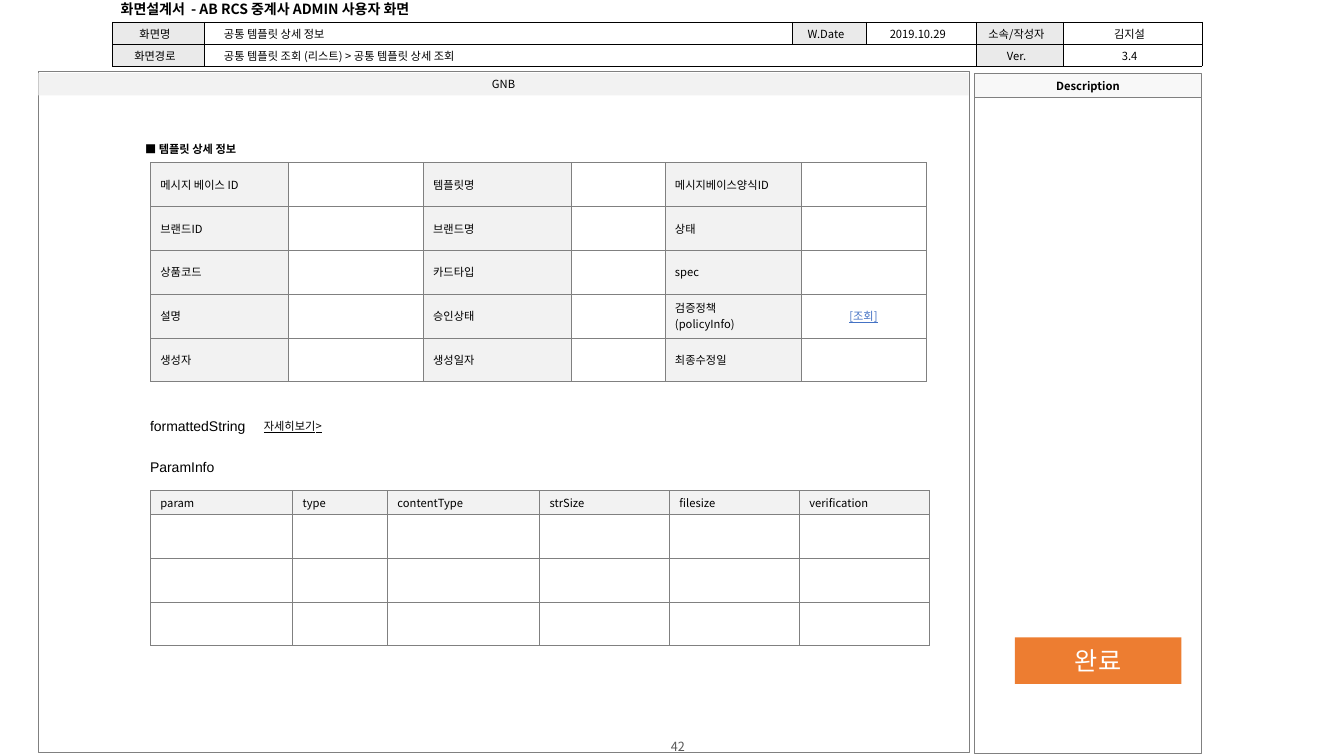
from dataclasses import dataclass

from lxml import etree
from pptx import Presentation
from pptx.dml.color import RGBColor
from pptx.enum.shapes import MSO_SHAPE
from pptx.enum.text import MSO_ANCHOR, MSO_AUTO_SIZE, PP_ALIGN
from pptx.oxml.ns import qn
from pptx.util import Pt

LEFT, CENTER = PP_ALIGN.LEFT, PP_ALIGN.CENTER
TOP, MIDDLE = MSO_ANCHOR.TOP, MSO_ANCHOR.MIDDLE
RECTANGLE = MSO_SHAPE.RECTANGLE
NO_AUTOFIT = MSO_AUTO_SIZE.NONE


@dataclass(frozen=True)
class Theme:
    sans: str = "Noto Sans CJK KR"
    latin: str = "Arial"
    small: float = 8
    number: float = 9
    heading: float = 10
    button: float = 18
    hairline: float = 0.25
    black: str = "000000"
    white: str = "FFFFFF"
    gray: str = "808080"
    dark_gray: str = "595959"
    label: str = "F2F2F2"
    header: str = "EAEAEA"
    panel: str = "F8F8F8"
    link: str = "4472C4"
    orange: str = "ED7D31"


theme = Theme()


def write(frame, text, size=theme.small, color=theme.black, bold=False,
          align=LEFT, name=theme.sans, underline=False):
    """Fill a text frame and give Latin and East Asian text the same font."""
    frame.text = text
    frame.word_wrap = True
    for para in frame.paragraphs:
        para.alignment = align
        font = para.font
        font.size, font.bold, font.underline = Pt(size), bold, underline
        font.color.rgb = RGBColor.from_string(color)
        font.name = name
        defaults = para._p.pPr.find(qn("a:defRPr"))
        etree.SubElement(defaults, qn("a:ea")).set("typeface", theme.sans)


def add_grid(left, top, widths, heights, border):
    """Add a plain table with thin borders on every cell."""
    frame = page.shapes.add_table(len(heights), len(widths), Pt(left), Pt(top),
                                  Pt(sum(widths)), Pt(sum(heights)))
    table = frame.table
    table.first_row = table.horz_banding = False
    for column, width in zip(table.columns, widths):
        column.width = Pt(width)
    for row, height in zip(table.rows, heights):
        row.height = Pt(height)
    for cell in table.iter_cells():
        cell.vertical_anchor = MIDDLE
        cell.fill.background()
        properties = cell._tc.get_or_add_tcPr()
        for position, side in enumerate(("lnL", "lnR", "lnT", "lnB")):
            line = etree.Element(qn(f"a:{side}"), w=str(Pt(theme.hairline)))
            fill = etree.SubElement(line, qn("a:solidFill"))
            etree.SubElement(fill, qn("a:srgbClr")).set("val", border)
            properties.insert(position, line)
    return table


deck = Presentation()
deck.slide_width, deck.slide_height = Pt(960), Pt(540)
page = deck.slides.add_slide(deck.slide_layouts[5])

# Title
title = page.shapes.title
title.left, title.top, title.width, title.height = Pt(79), Pt(-3), Pt(250), Pt(19)
write(title.text_frame, "화면설계서  - AB RCS 중계사 ADMIN 사용자 화면",
      theme.heading, bold=True)
title.text_frame.auto_size = NO_AUTOFIT
title.text_frame.vertical_anchor = MIDDLE

# Panels and button: left, top, width, height, fill, line, text, size, colour, bold
panels = [
    (27.4, 51.1, 664.6, 486, None, theme.gray, "", theme.small, theme.black, False),
    (696.2, 69.1, 162, 468.7, None, theme.gray, "", theme.small, theme.black, False),
    (696.2, 52.6, 162, 17, theme.panel, theme.gray, "Description",
     theme.small, theme.black, True),
    (27.4, 52.2, 664.6, 16, theme.label, None, "GNB",
     theme.small, theme.black, False),
    (725, 455.2, 118.8, 33.3, theme.orange, None, "완료",
     theme.button, theme.white, False),
]
for left, top, width, height, fill, line, text, size, color, bold in panels:
    panel = page.shapes.add_shape(RECTANGLE, Pt(left), Pt(top), Pt(width), Pt(height))
    panel.shadow.inherit = False
    if fill:
        panel.fill.solid()
        panel.fill.fore_color.rgb = RGBColor.from_string(fill)
    else:
        panel.fill.background()
    if line:
        panel.line.color.rgb = RGBColor.from_string(line)
        panel.line.width = Pt(theme.hairline)
    else:
        panel.line.fill.background()
    if text:
        write(panel.text_frame, text, size, color, bold, CENTER)
        panel.text_frame.vertical_anchor = MIDDLE

# Document header
header_rows = [
    ["화면명", "공통 템플릿 상세 정보", "W.Date", "2019.10.29", "소속/작성자", "김지설"],
    ["화면경로", "공통 템플릿 조회 (리스트) > 공통 템플릿 상세 조회", "", "", "Ver.", "3.4"],
]
header = add_grid(80.2, 15.8, [65.4, 420.2, 52.8, 78.5, 62.4, 99.2], [15.8] * 2,
                  theme.black)
header.cell(1, 1).merge(header.cell(1, 3))
for row, texts in enumerate(header_rows):
    for column, text in enumerate(texts):
        cell = header.cell(row, column)
        cell.margin_top = cell.margin_bottom = Pt(2)
        cell.margin_left = Pt(14.4 if column == 1 else 2.9)
        if text:
            write(cell.text_frame, text, align=LEFT if column == 1 else CENTER)
        if column in (0, 2, 4) and text:
            cell.fill.solid()
            cell.fill.fore_color.rgb = RGBColor.from_string(theme.header)

# Template details: labels in every other column
detail_labels = [
    ["메시지 베이스 ID", "템플릿명", "메시지베이스양식ID"],
    ["브랜드ID", "브랜드명", "상태"],
    ["상품코드", "카드타입", "spec"],
    ["설명", "승인상태", "검증정책\n(policyInfo)"],
    ["생성자", "생성일자", "최종수정일"],
]
details = add_grid(107.4, 116, [98.6, 96.2, 105.8, 67, 97.2, 89.3], [31.3] * 5,
                   theme.gray)
for row, labels in enumerate(detail_labels):
    for index, label in enumerate(labels):
        cell = details.cell(row, 2 * index)
        write(cell.text_frame, label)
        cell.fill.solid()
        cell.fill.fore_color.rgb = RGBColor.from_string(theme.label)
write(details.cell(3, 5).text_frame, "[조회]", color=theme.link, align=CENTER,
      underline=True)

# Parameters
parameter_names = ["param", "type", "contentType", "strSize", "filesize", "verification"]
parameters = add_grid(107.4, 350.3, [101.6, 67.7, 108.7, 92.8, 92.8, 92.8],
                      [17.2] + [31.2] * 3, theme.gray)
for column, name in enumerate(parameter_names):
    cell = parameters.cell(0, column)
    cell.margin_top = cell.margin_bottom = Pt(2.7)
    write(cell.text_frame, name)
    cell.fill.solid()
    cell.fill.fore_color.rgb = RGBColor.from_string(theme.label)

# Captions: left, top, width, height, anchor, text, formatting
captions = [
    (96.5, 97.9, 109, 17, TOP, "■ 템플릿 상세 정보", {"bold": True}),
    (100.1, 294.5, 85, 19.4, TOP, "formattedString",
     {"size": theme.heading, "name": theme.latin}),
    (181.4, 296.2, 66, 17, TOP, "자세히보기>", {"underline": True}),
    (100.1, 324, 85, 19.4, TOP, "ParamInfo",
     {"size": theme.heading, "name": theme.latin}),
    (372.2, 528.5, 224, 9.4, MIDDLE, "42",
     {"size": theme.number, "color": theme.dark_gray, "align": CENTER}),
]
for left, top, width, height, anchor, text, formatting in captions:
    box = page.shapes.add_textbox(Pt(left), Pt(top), Pt(width), Pt(height))
    write(box.text_frame, text, **formatting)
    box.text_frame.vertical_anchor = anchor

deck.save("out.pptx")
